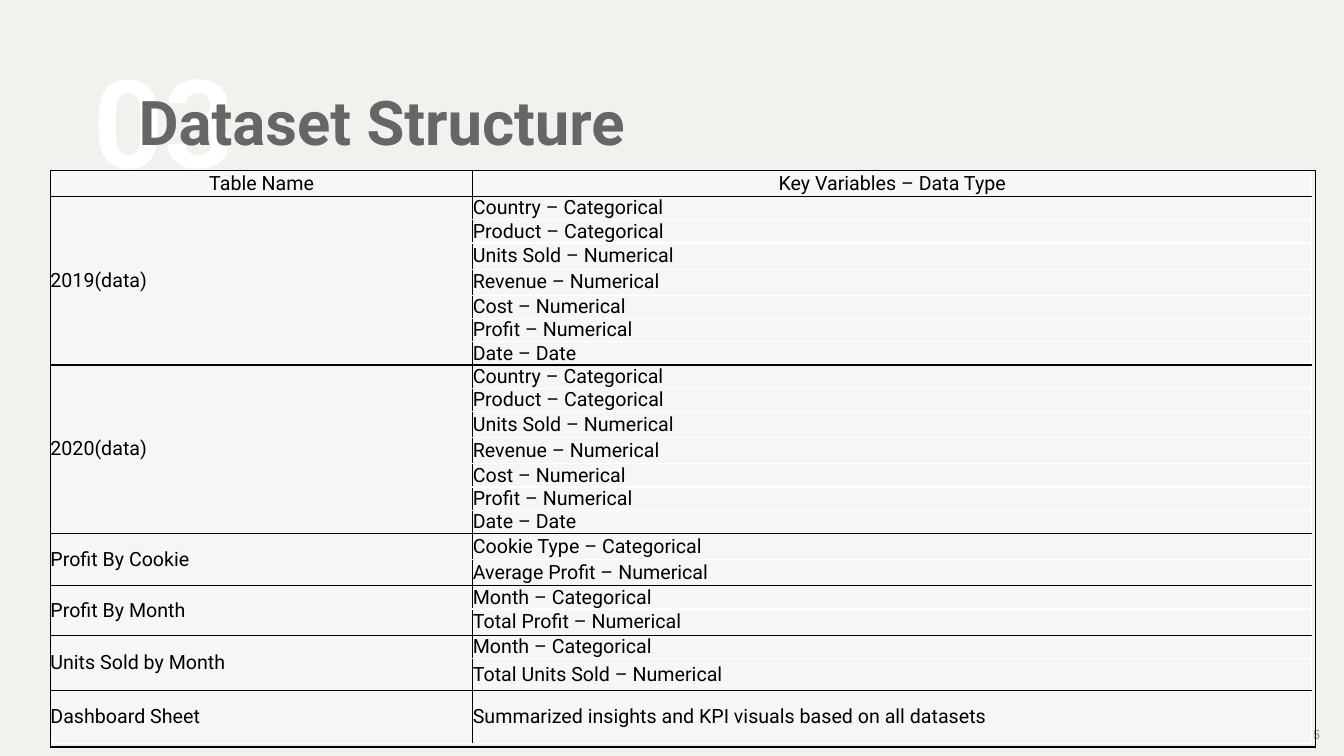
from lxml.etree import SubElement
from pptx import Presentation
from pptx.dml.color import RGBColor
from pptx.enum.text import MSO_ANCHOR, PP_ALIGN
from pptx.oxml.ns import qn
from pptx.util import Emu, Pt

PX = 9144  # 100 px to the inch
BLACK, WHITE, HEADER_FILL, CELL_FILL = "000000", "FFFFFF", "F8F6F9", "F6F6F6"


def write(frame, words, color, align, anchor, **font):
    frame.word_wrap = True
    frame.vertical_anchor = anchor
    para = frame.paragraphs[0]
    para.alignment = align
    span = para.add_run()
    span.text = words
    for name, value in {"name": "Roboto", "bold": False, **font}.items():
        setattr(span.font, name, value)
    span.font.color.rgb = RGBColor.from_string(color)
    return para


def set_borders(cell, **colors):
    properties = cell._tc.get_or_add_tcPr()
    for side in "LRTB":
        line = SubElement(properties, qn(f"a:ln{side}"), w=str(Pt(1)))
        fill = SubElement(line, qn("a:solidFill"))
        SubElement(fill, qn("a:srgbClr"), val=colors.get(side, BLACK))


# Page
deck = Presentation()
deck.slide_width, deck.slide_height = Emu(1333 * PX), Emu(750 * PX)
page = deck.slides.add_slide(deck.slide_layouts[5])
page.background.fill.solid()
page.background.fill.fore_color.rgb = RGBColor.from_string("F2F1EE")

# Section number and page number, with the title in front
number_box = page.shapes.add_textbox(*(Emu(v * PX) for v in (83, 57, 323, 146)))
para = write(number_box.text_frame, "03", WHITE, PP_ALIGN.LEFT, MSO_ANCHOR.TOP,
             size=Pt(88), bold=True)
para.line_spacing, para.space_before = 0.9, Pt(10)

page_box = page.shapes.add_textbox(*(Emu(v * PX) for v in (1019, 709, 300, 40)))
write(page_box.text_frame, "5", "8C8C8C", PP_ALIGN.RIGHT, MSO_ANCHOR.MIDDLE, size=Pt(9))

title = page.shapes.title
title.left, title.top, title.width, title.height = (Emu(v * PX) for v in (113, 51, 532, 147))
para = write(title.text_frame, "Dataset Structure", "666666", PP_ALIGN.CENTER,
             MSO_ANCHOR.MIDDLE, size=Pt(44), bold=True)
para.line_spacing = 0.9
page.shapes._spTree.append(title._element)

# Dataset table: each group is a name, its variables and their row heights
year_variables = ["Country – Categorical", "Product – Categorical", "Units Sold – Numerical",
                  "Revenue – Numerical", "Cost – Numerical", "Profit – Numerical", "Date – Date"]
year_heights = [22, 22, 26, 26, 22, 22, 22]
groups = [
    ("Table Name", ["Key Variables – Data Type"], [26]),
    ("2019(data)", year_variables, year_heights),
    ("2020(data)", year_variables, year_heights),
    ("Profit By Cookie", ["Cookie Type – Categorical", "Average Profit – Numerical"], [26, 26]),
    ("Profit By Month", ["Month – Categorical", "Total Profit – Numerical"], [22, 26]),
    ("Units Sold by Month", ["Month – Categorical", "Total Units Sold – Numerical"], [22, 32]),
    ("Dashboard Sheet", ["Summarized insights and KPI visuals based on all datasets"], [52]),
]
row_count = sum(len(variables) for _, variables, _ in groups)
table_frame = page.shapes.add_table(row_count, 2, *(Emu(v * PX) for v in (50, 169, 1251, 572)))
table = table_frame.table
table.first_row = table.horz_banding = False
for column, width in zip(table.columns, (419, 832)):
    column.width = Emu(width * PX)

first = 0
for name, variables, heights in groups:
    last = first + len(variables) - 1
    align, fill_color = PP_ALIGN.LEFT, CELL_FILL
    if first == 0:
        align, fill_color = PP_ALIGN.CENTER, HEADER_FILL
    for row, (variable, height) in enumerate(zip(variables, heights), first):
        table.rows[row].height = Emu(height * PX)
        name_cell, variable_cell = table.cell(row, 0), table.cell(row, 1)
        outer_top = WHITE if row == 0 else BLACK
        outer_bottom = WHITE if row == row_count - 1 else BLACK
        set_borders(name_cell, L=WHITE, T=outer_top, B=outer_bottom)
        set_borders(variable_cell, R=WHITE,
                    T=outer_top if row == first else WHITE,
                    B=outer_bottom if row == last else WHITE)
        for cell, words in ((name_cell, name if row == first else ""), (variable_cell, variable)):
            cell.margin_left = cell.margin_right = cell.margin_top = cell.margin_bottom = 0
            cell.vertical_anchor = MSO_ANCHOR.MIDDLE
            cell.fill.solid()
            cell.fill.fore_color.rgb = RGBColor.from_string(fill_color)
            if words:
                write(cell.text_frame, words, BLACK, align, MSO_ANCHOR.MIDDLE, size=Pt(14))
            else:
                cell.text_frame.paragraphs[0].font.size = Pt(14)
    if last > first:
        table.cell(first, 0).merge(table.cell(last, 0))
    first = last + 1
table_frame.height = Emu(572 * PX)

# Outline table
outline = page.shapes.add_table(1, 1, *(Emu(v * PX) for v in (50, 169, 1255, 572))).table
outline.first_row = outline.horz_banding = False
set_borders(outline.cell(0, 0))
outline.cell(0, 0).fill.background()

deck.save("out.pptx")
